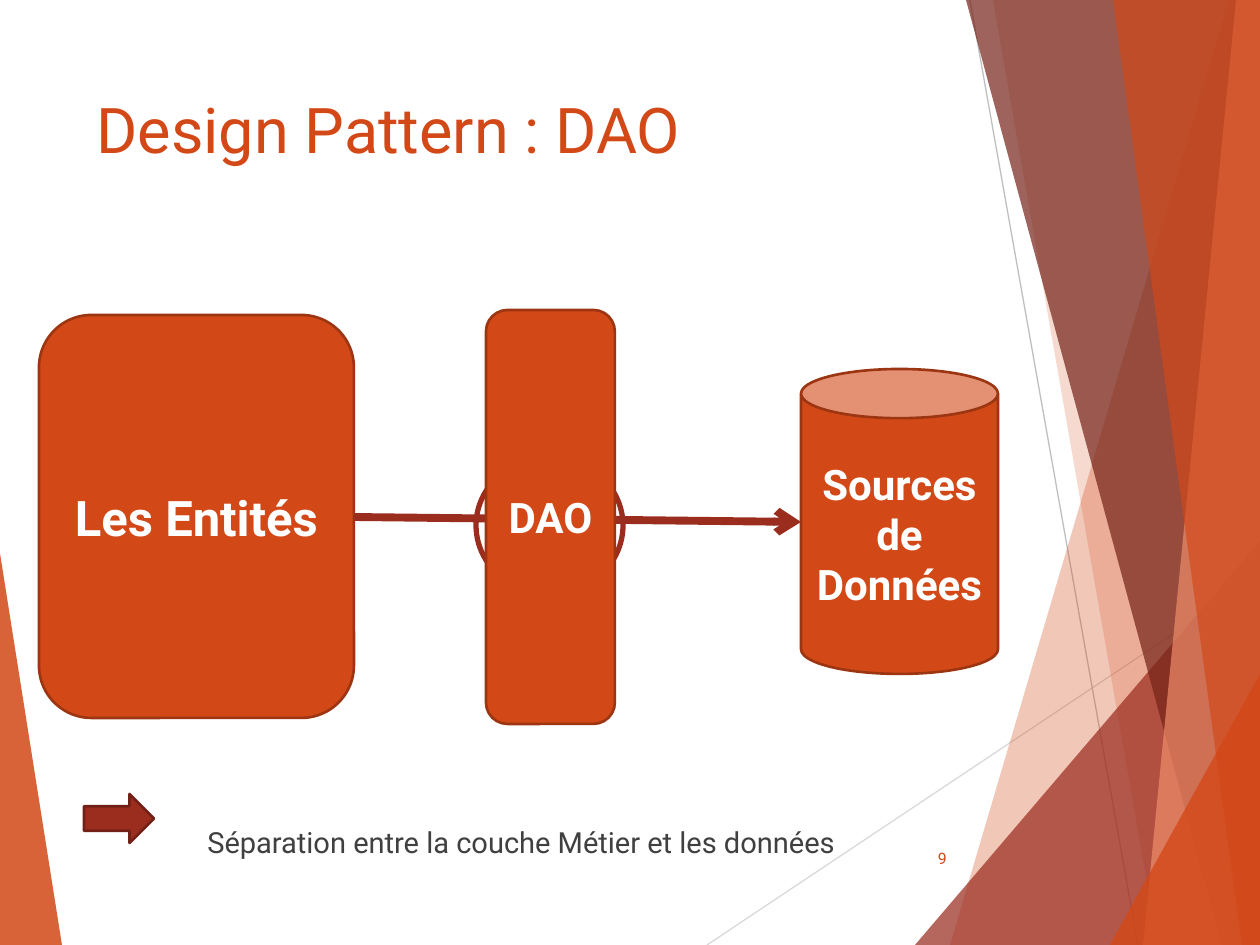
from lxml import etree
from pptx import Presentation
from pptx.dml.color import RGBColor
from pptx.enum.shapes import MSO_CONNECTOR, MSO_SHAPE
from pptx.enum.text import MSO_ANCHOR, PP_ALIGN
from pptx.oxml.ns import qn
from pptx.util import Emu, Pt

SCALE = 914400 / 126
WIDTH, HEIGHT = 1260, 945
FONT = "Roboto"
ORANGE, DARK_ORANGE, RED, DARK_RED = "D34817", "9C3511", "9B2D1F", "732117"
WHITE, GREY = "FFFFFF", "404040"
STRAIGHT = MSO_CONNECTOR.STRAIGHT
ROUNDED, CAN = MSO_SHAPE.ROUNDED_RECTANGLE, MSO_SHAPE.CAN
NO_SYMBOL, RIGHT_ARROW = MSO_SHAPE.NO_SYMBOL, MSO_SHAPE.RIGHT_ARROW
LEFT, CENTER, RIGHT = PP_ALIGN.LEFT, PP_ALIGN.CENTER, PP_ALIGN.RIGHT
TOP, MIDDLE = MSO_ANCHOR.TOP, MSO_ANCHOR.MIDDLE


def px(value):
    """Turn pixels into EMU."""
    return Emu(round(value * SCALE))


def color(value):
    """Turn a hex string into a colour."""
    return RGBColor.from_string(value)


def inside(box, left, top, width, height):
    """Return a box given relative to the corner of another one."""
    return box[0] + left, box[1] + top, width, height


def write(shape, text, size, ink, align=CENTER, anchor=MIDDLE, bold=False):
    """Set and format the text of a shape."""
    frame = shape.text_frame
    frame.word_wrap = True
    frame.vertical_anchor = anchor
    frame.text = text
    paragraph = frame.paragraphs[0]
    paragraph.alignment = align
    font = paragraph.runs[0].font
    font.name, font.size, font.bold = FONT, Pt(size), bold
    font.color.rgb = color(ink)


def add_text(slide, box, text, size, ink, align=LEFT, anchor=MIDDLE):
    """Add a wrapped text box."""
    shape = slide.shapes.add_textbox(*map(px, box))
    write(shape, text, size, ink, align, anchor)


def add_block(slide, kind, box, fill, line, weight=1.5):
    """Add an outlined preset shape, hollow when it has no fill."""
    shape = slide.shapes.add_shape(kind, *map(px, box))
    shape.shadow.inherit = False
    if fill:
        shape.fill.solid()
        shape.fill.fore_color.rgb = color(fill)
    else:
        shape.fill.background()
    shape.line.color.rgb = color(line)
    shape.line.width = Pt(weight)
    return shape


def add_line(slide, box, start, end, ink, weight, arrow=False):
    """Add a straight line between two points of a box."""
    points = [px(box[axis] + point[axis]) for point in (start, end) for axis in (0, 1)]
    connector = slide.shapes.add_connector(STRAIGHT, *points)
    connector.line.color.rgb = color(ink)
    connector.line.width = Pt(weight)
    if arrow:
        etree.SubElement(connector.line._get_or_add_ln(), qn("a:tailEnd"), type="arrow")
    etree.SubElement(connector._element.spPr, qn("a:effectLst"))


def add_facet(slide, box, points, fill, opacity):
    """Add a translucent polygon."""
    corners = [(px(box[0] + x), px(box[1] + y)) for x, y in points]
    builder = slide.shapes.build_freeform(*corners[0], scale=1.0)
    builder.add_line_segments(corners[1:], close=True)
    shape = builder.convert_to_shape()
    shape.shadow.inherit = False
    shape.fill.solid()
    shape.fill.fore_color.rgb = color(fill)
    shape.line.fill.background()
    tint = shape._element.spPr.find(".//" + qn("a:srgbClr"))
    etree.SubElement(tint, qn("a:alpha"), val=str(opacity * 1000))


def draw_backdrop(slide, box):
    """Draw the facets and thin lines along the slide edges."""
    right, bottom = box[2:]
    add_facet(slide, box, [(0, 553), (62, bottom), (0, bottom)], ORANGE, 85)
    add_line(slide, box, (707, bottom), (right, 576), "D9D9D9", 0.75)
    add_line(slide, box, (970, 0), (1138, bottom), "BFBFBF", 0.75)
    facets = [
        (1229, 0, 950, ORANGE, 30),
        (993, 0, 1158, ORANGE, 20),
        (right, 541, 915, RED, 72),
        (966, 0, 1222, "742217", 70),
        (1236, 0, 1143, "EF8C6A", 70),
        (1113, 0, 1242, ORANGE, 65),
        (right, 674, 1110, ORANGE, 80),
    ]
    for top_x, top_y, bottom_x, fill, opacity in facets:
        points = [(top_x, top_y), (bottom_x, bottom), (right, bottom)]
        if top_x < right:
            points.append((right, top_y))
        add_facet(slide, box, points, fill, opacity)


def draw_diagram(slide, box):
    """Draw the entities, the DAO layer and the data sources."""
    blocks = [
        (ROUNDED, (0, 5, 315, 403), "Les Entités", 28),
        (CAN, (762, 59, 197, 305), "Sources de Données", 24),
        (ROUNDED, (447, 0, 129, 414), "DAO", 24),
    ]
    for kind, place, text, size in blocks:
        if text == "DAO":
            add_line(slide, box, (315, 207), (762, 212), RED, 4.5, arrow=True)
            barrier = inside(box, 437, 147, 147, 137)
            add_block(slide, NO_SYMBOL, barrier, None, RED, 3)
        block = add_block(slide, kind, inside(box, *place), ORANGE, DARK_ORANGE)
        write(block, text, size, WHITE, bold=True)


def draw_conclusion(slide, box):
    """Draw the arrow and the sentence that sums up the diagram."""
    add_block(slide, RIGHT_ARROW, inside(box, 0, 0, 70, 49), RED, DARK_RED)
    sentence = "Séparation entre la couche Métier et les données"
    add_text(slide, inside(box, 111, 24, 680, 48), sentence, 16.6, GREY)


def draw_slide(presentation):
    """Build the design pattern slide."""
    slide = presentation.slides.add_slide(presentation.slide_layouts[6])
    draw_backdrop(slide, (0, 0, WIDTH, HEIGHT))
    add_text(slide, (84, 84, 874, 181), "Design Pattern : DAO", 36, ORANGE, anchor=TOP)
    draw_diagram(slide, (39, 310, 960, 414))
    draw_conclusion(slide, (84, 794, 791, 72))
    add_text(slide, (888, 833, 71, 50), "9", 9, ORANGE, align=RIGHT)


presentation = Presentation()
presentation.slide_width, presentation.slide_height = px(WIDTH), px(HEIGHT)
draw_slide(presentation)
presentation.save("out.pptx")
